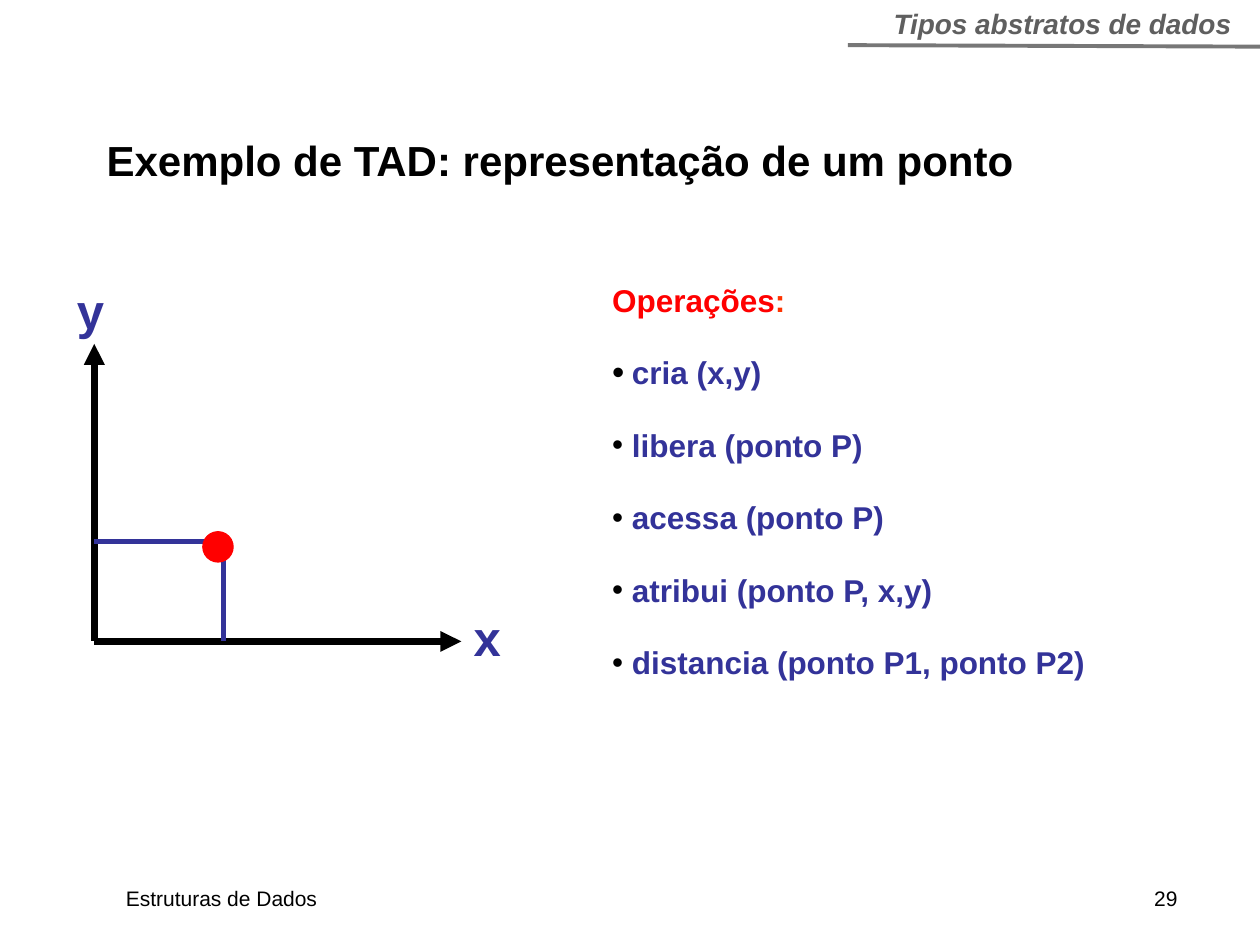
from lxml import etree
from pptx import Presentation
from pptx import util as u
from pptx.dml import color
from pptx.enum import shapes, text
from pptx.oxml import ns

COLOURS = {
    "black": "000000", "red": "FF0000", "orange": "FF3300",
    "blue": "333399", "rule": "777777", "header": "5F5F5F",
}
OPERATIONS = [
    "cria (x,y)", "libera (ponto P)", "acessa (ponto P)",
    "atribui (ponto P, x,y)", "distancia (ponto P1, ponto P2)",
]
ORIGIN = (1.9, 12.93)
AXIS_TOP = 6.93
AXIS_RIGHT = 9.3


def rgb(name):
    """Return the named colour."""
    return color.RGBColor.from_string(COLOURS[name])


def add_child(parent, tag, **attributes):
    """Append a drawing element with its attributes."""
    child = etree.SubElement(parent, ns.qn(tag))
    for key, value in attributes.items():
        child.set(key, str(value))
    return child


def add_span(para, words, size=18, colour="black", bold=True, italic=False):
    """Add a formatted run to a paragraph."""
    span = para.add_run()
    span.text = words
    font = span.font
    font.name, font.size = "Arial", u.Pt(size)
    font.bold, font.italic = bold, italic
    font.color.rgb = rgb(colour)


def add_box(page, left, top, width, height, grow=True):
    """Add an empty wrapping text box and return its frame."""
    box = page.shapes.add_textbox(u.Cm(left), u.Cm(top), u.Cm(width), u.Cm(height))
    frame = box.text_frame
    frame.word_wrap = True
    fit = text.MSO_AUTO_SIZE
    frame.auto_size = fit.SHAPE_TO_FIT_TEXT if grow else fit.NONE
    return frame


def add_label(page, words, place, align=None, **style):
    """Add a text box holding one formatted line."""
    para = add_box(page, *place).paragraphs[0]
    para.alignment = align
    add_span(para, words, **style)


def add_line(page, start, end, colour, width, arrow=None):
    """Draw a straight line, with an arrowhead at the named end if any."""
    points = [u.Cm(value) for value in (*start, *end)]
    line = page.shapes.add_connector(shapes.MSO_CONNECTOR.STRAIGHT, *points)
    line.line.color.rgb = rgb(colour)
    line.line.width = u.Pt(width)
    if arrow:
        add_child(line.line._get_or_add_ln(), arrow, type="triangle")
    add_child(line._element.spPr, "a:effectLst")


def add_bullet(para, size):
    """Give a paragraph a black hanging bullet sized in percent."""
    indent = u.Cm(0.4)
    properties = para._p.get_or_add_pPr()
    properties.set("marL", str(indent))
    properties.set("indent", str(-indent))
    add_child(add_child(properties, "a:buClr"), "a:srgbClr", val=COLOURS["black"])
    add_child(properties, "a:buSzPct", val=size * 1000)
    add_child(properties, "a:buFont", typeface="Arial")
    add_child(properties, "a:buChar", char="•")


def add_operations(page):
    """Add the heading and the bulleted list of operations."""
    frame = add_box(page, 12.09, 5.54, 10.69, 8.46)
    heading = frame.paragraphs[0]
    add_span(heading, "Operações", colour="red")
    add_span(heading, ":", colour="orange")
    for index, operation in enumerate(OPERATIONS):
        para = frame.add_paragraph()
        add_bullet(para, 100 if index else 111)
        para.line_spacing = 1.5
        para.space_before = u.Pt(9)
        add_span(para, operation, colour="blue")


def add_point(page):
    """Draw the red point."""
    side = u.Cm(0.61)
    point = page.shapes.add_shape(
        shapes.MSO_SHAPE.OVAL, u.Cm(4.09), u.Cm(10.72), side, side)
    point.shadow.inherit = False
    point.fill.solid()
    point.fill.fore_color.rgb = rgb("red")
    point.line.color.rgb = rgb("red")
    point.line.width = u.Pt(0.75)


def add_graph(page):
    """Draw the axes, the projections, the point and the axis names."""
    left, bottom = ORIGIN
    add_line(page, (left, AXIS_TOP), ORIGIN, "black", 4, "a:headEnd")
    add_line(page, ORIGIN, (AXIS_RIGHT, bottom), "black", 4, "a:tailEnd")
    add_line(page, (4.5, 11.13), (4.5, bottom), "blue", 3)
    add_line(page, (left, 10.92), (4.29, 10.92), "blue", 3)
    add_point(page)
    for name, x, y in (("x", AXIS_RIGHT, 12.12), ("y", 1.3, 5.54)):
        add_label(page, name, (x, y, 1.04, 1.45), size=28, colour="blue")


def add_title(page):
    """Add the vertically centred slide title."""
    frame = add_box(page, 1.9, 2.51, 19.23, 1.4, grow=False)
    frame.vertical_anchor = text.MSO_ANCHOR.MIDDLE
    add_span(frame.paragraphs[0], "Exemplo de TAD: representação de um ponto", size=24)


def add_footer(page):
    """Add the course name with the page number at a right tab."""
    para = add_box(page, 2.29, 17.73, 22.2, 0.76).paragraphs[0]
    tabs = add_child(para._p.get_or_add_pPr(), "a:tabLst")
    add_child(tabs, "a:tab", pos=u.Cm(21.2), algn="r")
    add_span(para, "Estruturas de Dados\t29", size=12, bold=False)


def main():
    """Build and save the slide."""
    deck = Presentation()
    deck.slide_width, deck.slide_height = u.Cm(25.4), u.Cm(19.05)
    page = deck.slides.add_slide(deck.slide_layouts[6])
    add_footer(page)
    add_operations(page)
    add_graph(page)
    add_title(page)
    add_line(page, (17.09, 0.91), (25.4, 0.94), "rule", 2.25)
    add_label(page, "Tipos abstratos de dados", (17.75, 0, 7.34, 0.94),
              align=text.PP_ALIGN.CENTER, size=16, colour="header", italic=True)
    deck.save("out.pptx")


if __name__ == "__main__":
    main()
